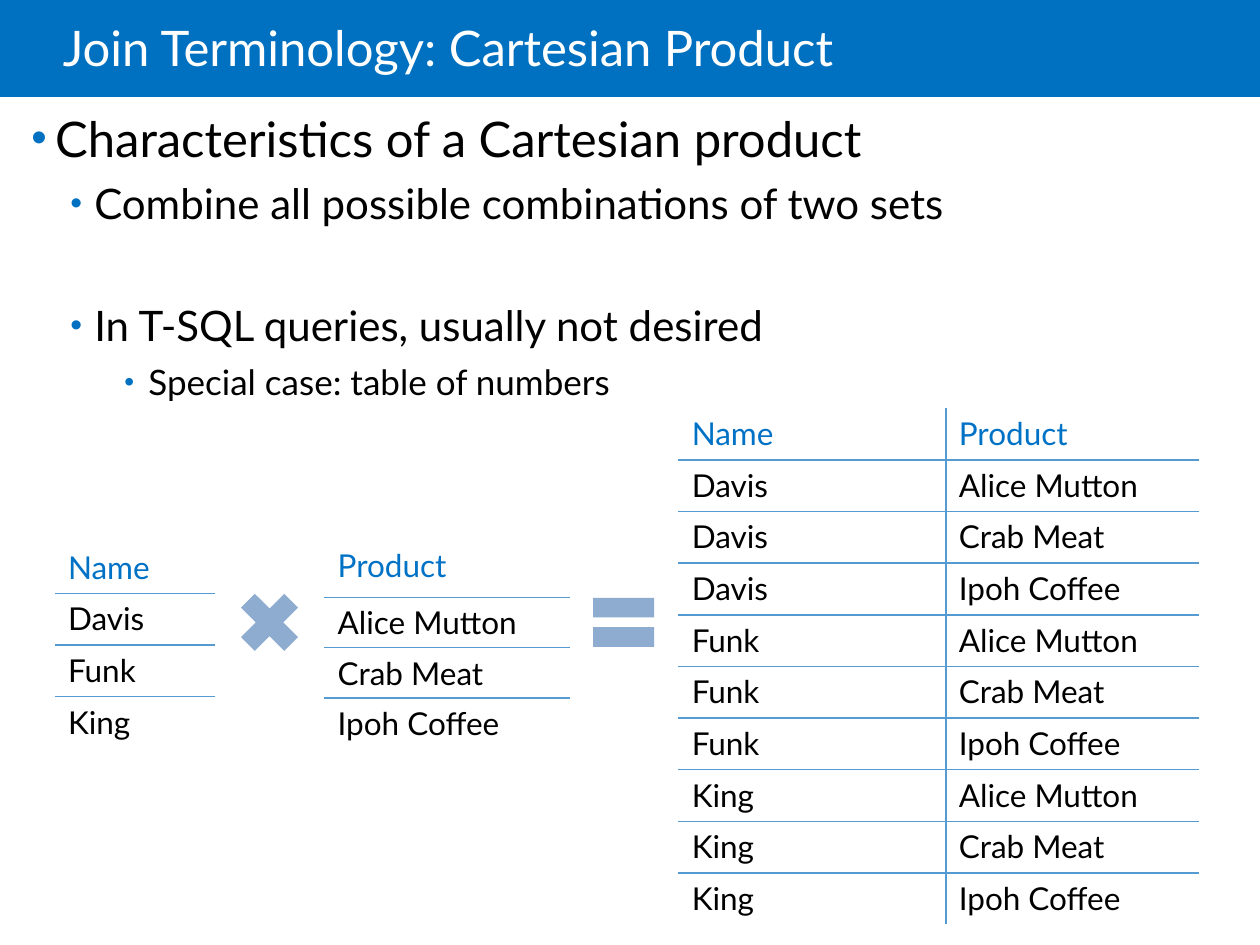
from lxml import etree
from pptx import Presentation
from pptx.dml.color import RGBColor
from pptx.enum import shapes, text
from pptx.oxml import ns
from pptx.util import Inches, Pt


def color(value):
    return RGBColor.from_string(value)


def add_xml(parent, tag, index, **attributes):
    node = etree.Element(ns.qn(tag), attributes)
    parent.insert(index, node)
    return node


deck = Presentation()
deck.slide_width, deck.slide_height = Inches(10), Inches(7.5)
slide = deck.slides.add_slide(deck.slide_layouts[6])

symbols = [
    (shapes.MSO_SHAPE.RECTANGLE, 0, 0, 10, 0.77, "0070C0"),
    (shapes.MSO_SHAPE.MATH_MULTIPLY, 1.81, 4.61, 0.66, 0.66, "8DACD0"),
    (shapes.MSO_SHAPE.MATH_EQUAL, 4.62, 4.61, 0.66, 0.66, "8DACD0"),
]
for kind, left, top, width, height, fill in symbols:
    symbol = slide.shapes.add_shape(kind, Inches(left), Inches(top), Inches(width), Inches(height))
    symbol.shadow.inherit = False
    symbol.fill.solid()
    symbol.fill.fore_color.rgb = color(fill)
    symbol.line.fill.background()

title = slide.shapes.add_textbox(Inches(0.5), 0, Inches(8.5), Inches(0.81)).text_frame
title.word_wrap = True
title.margin_left = 0
title.vertical_anchor = text.MSO_ANCHOR.MIDDLE
heading = title.paragraphs[0]
heading.text = "Join Terminology: Cartesian Product"
heading.line_spacing = 0.85
heading.font.size = Pt(28)
heading.font.name = "Lato"
heading.font.color.rgb = color("FFFFFF")

body = slide.shapes.add_textbox(Inches(0.15), Inches(0.81), Inches(9.74), Inches(6.61)).text_frame
body.word_wrap = True
levels = [(28, 0.19, 90), (24, 0.5, 80), (20, 0.93, 80)]
points = [
    (0, 6, "Characteristics of a Cartesian product"),
    (1, 6, "Combine all possible combinations of two sets"),
    (1, 41, "In T-SQL queries, usually not desired"),
    (2, 6, "Special case: table of numbers"),
]
for number, (level, gap, words) in enumerate(points):
    point = body.add_paragraph() if number else body.paragraphs[0]
    size, indent, bullet_percent = levels[level]
    point.text = words
    point.level = level
    point.space_before = Pt(gap)
    point.font.size = Pt(size)
    point.font.name = "Lato"
    point.font.color.rgb = color("000000")
    properties = point._p.get_or_add_pPr()
    properties.set("marL", str(Inches(indent)))
    properties.set("indent", str(Inches(-0.19)))
    bullet_color = add_xml(properties, "a:buClr", 1)
    add_xml(bullet_color, "a:srgbClr", 0, val="0070C0")
    add_xml(properties, "a:buSzPct", 2, val=str(bullet_percent * 1000))
    add_xml(properties, "a:buFont", 3, typeface="Arial")
    add_xml(properties, "a:buChar", 4, char="•")

names = ["Davis", "Funk", "King"]
products = ["Alice Mutton", "Crab Meat", "Ipoh Coffee"]
pairs = [(name, product) for name in names for product in products]
sets = [
    (2.58, 4.29, [1.94], 0.45, 0.4, [("Product",)] + [(product,) for product in products]),
    (5.39, 3.24, [2.12, 2], 0.41, 0.41, [("Name", "Product")] + pairs),
    (0.44, 4.3, [1.26], 0.41, 0.41, [("Name",)] + [(name,) for name in names]),
]
for left, top, widths, header_height, row_height, rows in sets:
    last_row, last_column = len(rows) - 1, len(widths) - 1
    table = slide.shapes.add_table(
        len(rows), len(widths), Inches(left), Inches(top),
        Inches(sum(widths)), Inches(header_height + row_height * last_row)).table
    table.horz_banding = False
    for column, width in enumerate(widths):
        table.columns[column].width = Inches(width)
    for row, values in enumerate(rows):
        table.rows[row].height = Inches(row_height if row else header_height)
        for column, value in enumerate(values):
            cell = table.cell(row, column)
            cell.text = value
            cell.fill.solid()
            cell.fill.fore_color.rgb = color("FFFFFF")
            font = cell.text_frame.paragraphs[0].font
            font.size = Pt(18)
            font.name = "Lato"
            font.bold = False
            font.color.rgb = color("000000" if row else "0072C6")
            inner_edges = [("a:lnL", column > 0), ("a:lnR", column < last_column),
                           ("a:lnT", row > 0), ("a:lnB", row < last_row)]
            for order, (edge, inner) in enumerate(inner_edges):
                border = add_xml(cell._tc.get_or_add_tcPr(), edge, order, w=str(Pt(1)))
                paint = add_xml(border, "a:solidFill", 0)
                add_xml(paint, "a:srgbClr", 0, val="569AD2" if inner else "FFFFFF")

deck.save("out.pptx")
